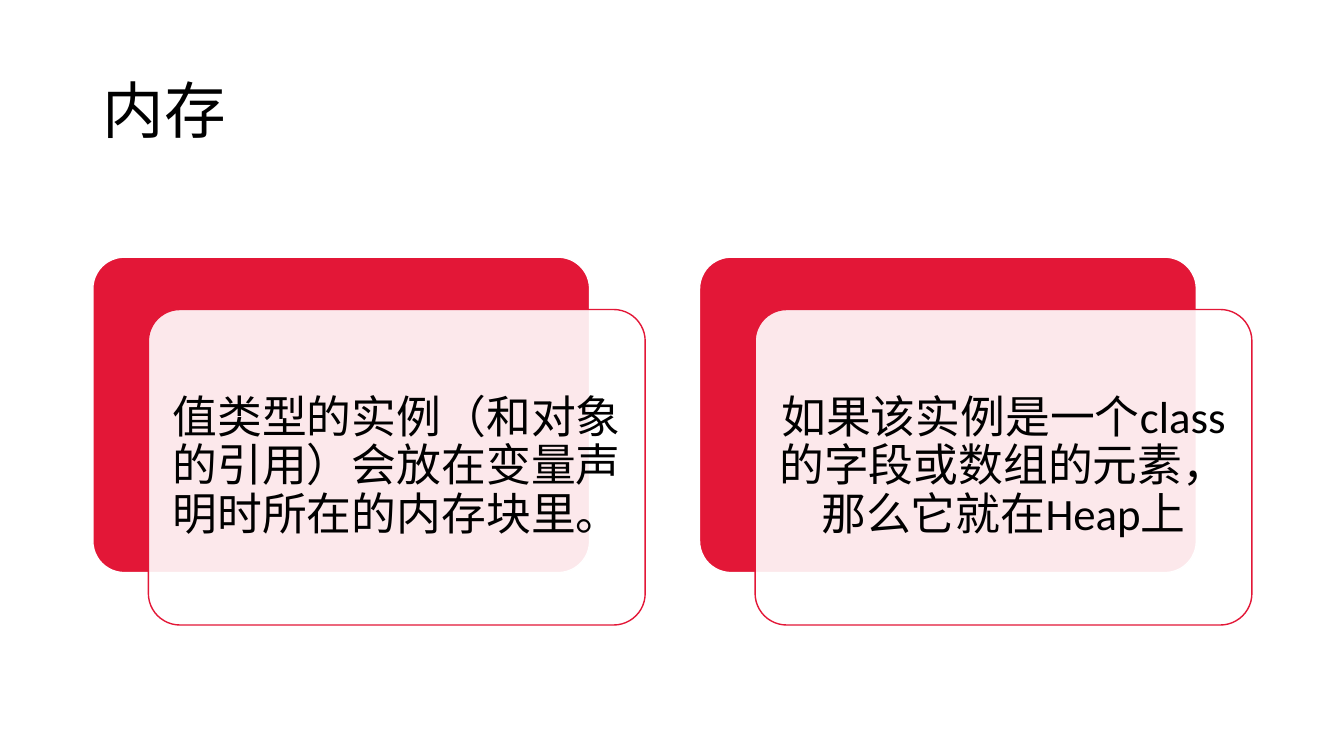
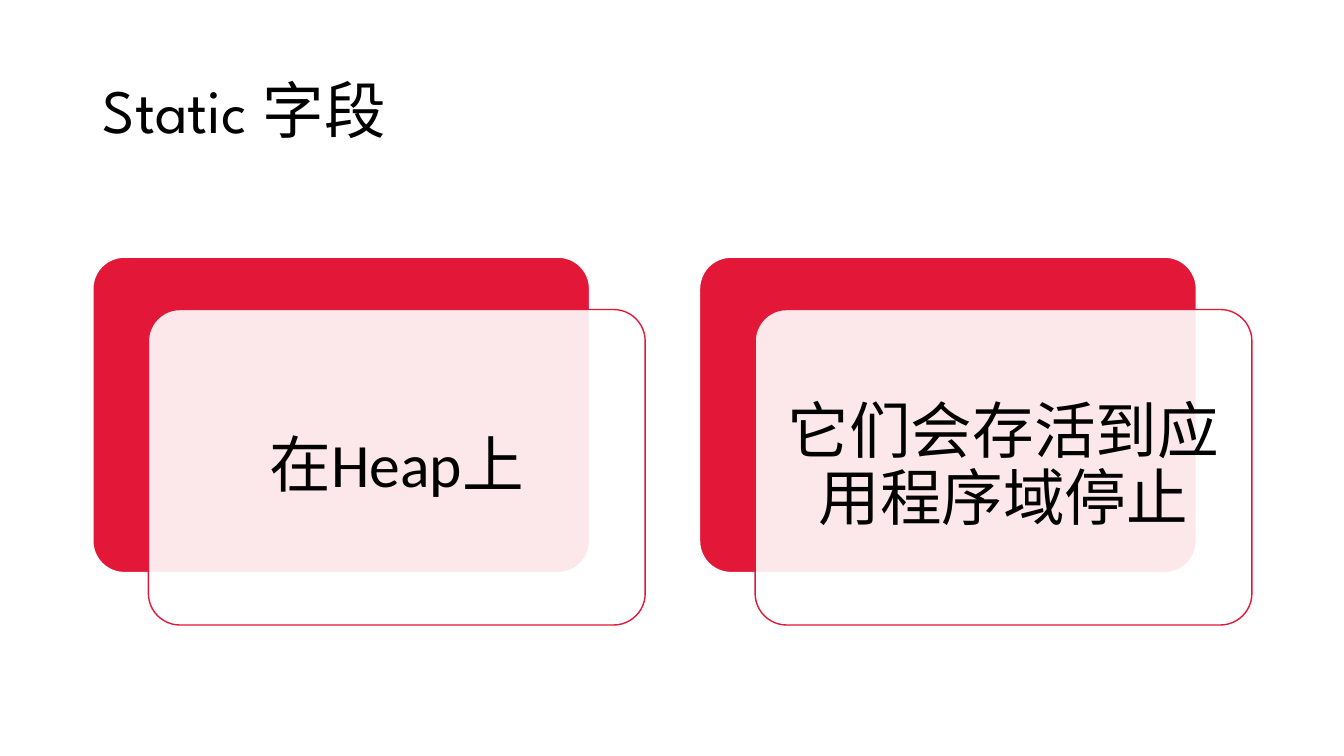
from collections import namedtuple

import pptx
import pptx.dml.color
import pptx.enum.lang
import pptx.enum.shapes
import pptx.enum.text
import pptx.oxml
import pptx.oxml.ns
import pptx.util

Cm = pptx.util.Cm
Pt = pptx.util.Pt
RGBColor = pptx.dml.color.RGBColor
Align = pptx.enum.text.PP_ALIGN
Box = namedtuple("Box", "left top width height")

RED = RGBColor(0xE3, 0x17, 0x37)
WHITE = RGBColor(0xFF, 0xFF, 0xFF)
BLACK = RGBColor(0, 0, 0)

TITLE_BOX = Box(2.34, 1.02, 29.21, 3.68)
CARDS_BOX = Box(2.34, 6.48, 29.21, 9.27)
CARD_WIDTH = 13.92
PLATE_WIDTH, PLATE_HEIGHT = 12.52, 7.95
TEXT_INSET = 0.23

TITLE_STYLE = {"name": "League Spartan", "size": Pt(44)}
SLIDES = [
    {
        "title": "内存",
        "size": 32,
        "margin": 0.33,
        "cards": [
            "值类型的实例（和对象的引用）会放在变量声明时所在的内存块里。",
            "如果该实例是一个class的字段或数组的元素，那么它就在Heap上",
        ],
    },
    {
        "title": "Static 字段",
        "size": 44,
        "margin": 0.45,
        "cards": ["在Heap上", "它们会存活到应用程序域停止"],
    },
]


def lengths(box):
    return [Cm(value) for value in box]


def set_values(target, values):
    for name, value in values.items():
        setattr(target, name, value)


def add_text(shapes, box, text, style, align, margins):
    frame = shapes.add_textbox(*lengths(box)).text_frame
    set_values(frame, {
        "word_wrap": True,
        "vertical_anchor": pptx.enum.text.MSO_ANCHOR.MIDDLE,
        **margins,
    })
    paragraph = frame.paragraphs[0]
    set_values(paragraph, {"alignment": align, "line_spacing": 0.9})
    run = paragraph.add_run()
    run.text = text
    language = pptx.enum.lang.MSO_LANGUAGE_ID.SIMPLIFIED_CHINESE
    set_values(run.font, {"language_id": language, **style})
    run.font.color.rgb = BLACK


def add_plate(shapes, box, fill, line, opacity=100):
    kind = pptx.enum.shapes.MSO_SHAPE.ROUNDED_RECTANGLE
    shape = shapes.add_shape(kind, *lengths(box))
    shape.adjustments[0] = 0.1
    shape.shadow.inherit = False
    shape.fill.solid()
    shape.fill.fore_color.rgb = fill
    shape.line.color.rgb = line
    shape.line.width = Pt(1)
    if opacity < 100:
        solid_fill = shape.fill._xPr.find(pptx.oxml.ns.qn("a:solidFill"))
        alpha = pptx.oxml.parse_xml(
            f'<a:alpha {pptx.oxml.ns.nsdecls("a")} val="{opacity * 1000}"/>'
        )
        solid_fill[0].append(alpha)


def add_card(shapes, box, text, size, margin):
    back = Box(box.left, box.top, PLATE_WIDTH, PLATE_HEIGHT)
    front = Box(
        box.left + box.width - PLATE_WIDTH,
        box.top + box.height - PLATE_HEIGHT,
        PLATE_WIDTH,
        PLATE_HEIGHT,
    )
    inner = Box(
        front.left + TEXT_INSET,
        front.top + TEXT_INSET,
        front.width - 2 * TEXT_INSET,
        front.height - 2 * TEXT_INSET,
    )
    add_plate(shapes, back, RED, WHITE)
    add_plate(shapes, front, WHITE, RED, opacity=90)
    margins = {
        f"margin_{side}": Cm(margin)
        for side in ("left", "top", "right", "bottom")
    }
    style = {"name": "Calibri", "size": Pt(size)}
    add_text(shapes, inner, text, style, Align.CENTER, margins)


def add_cards(slide, box, texts, size, margin):
    group = slide.shapes.add_group_shape()
    pitch = (box.width - CARD_WIDTH) / (len(texts) - 1)
    for index, text in enumerate(texts):
        card = Box(box.left + index * pitch, box.top, CARD_WIDTH, box.height)
        add_card(group.shapes, card, text, size, margin)


def add_title(slide, box, text):
    add_text(slide.shapes, box, text, TITLE_STYLE, Align.LEFT, {})


def main():
    presentation = pptx.Presentation()
    set_values(presentation, {
        "slide_width": Cm(33.87),
        "slide_height": Cm(19.05),
    })
    for content in SLIDES:
        slide = presentation.slides.add_slide(presentation.slide_layouts[6])
        add_title(slide, TITLE_BOX, content["title"])
        add_cards(
            slide, CARDS_BOX, content["cards"], content["size"], content["margin"]
        )
    presentation.save("out.pptx")


if __name__ == "__main__":
    main()
